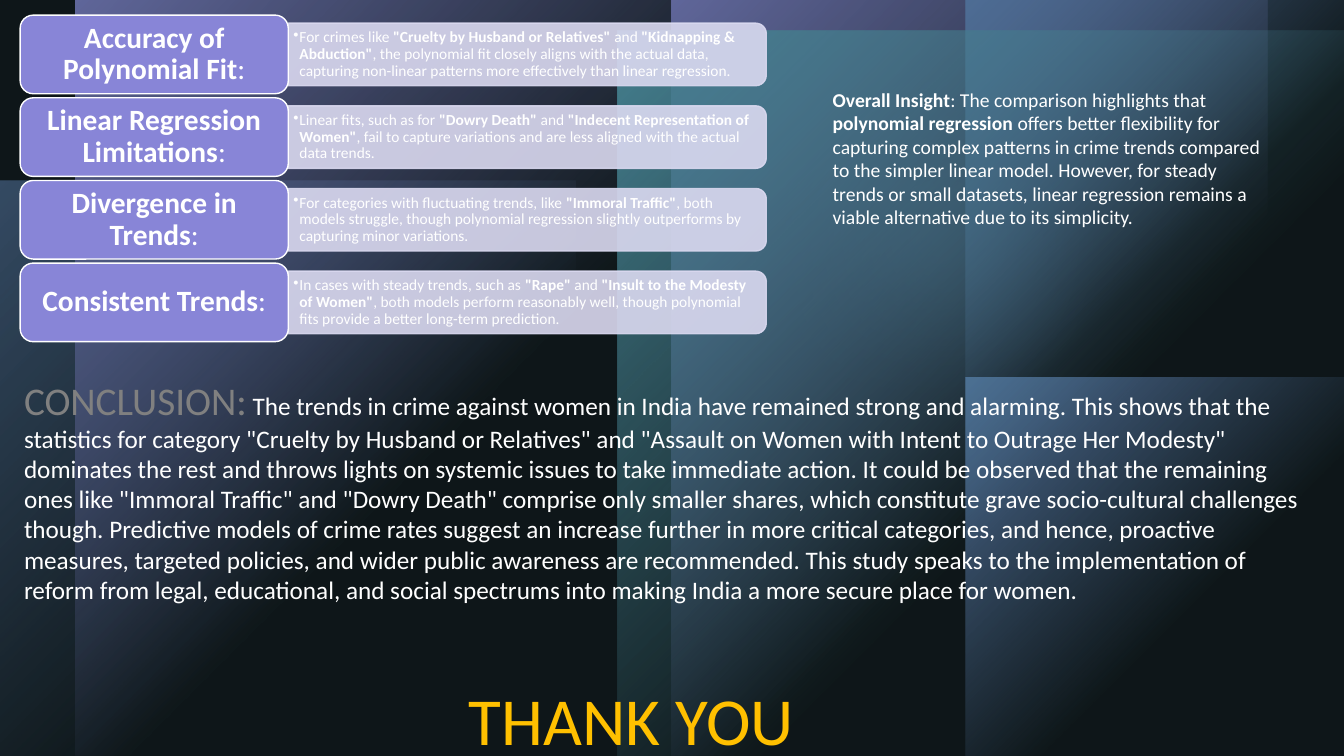
from dataclasses import dataclass
from typing import Optional

import pptx
import pptx.dml.color
import pptx.enum.shapes
import pptx.enum.text
import pptx.oxml
import pptx.oxml.ns
import pptx.util
from lxml import etree

Inches = pptx.util.Inches
Pt = pptx.util.Pt
Shapes = pptx.enum.shapes.MSO_SHAPE
Anchor = pptx.enum.text.MSO_ANCHOR
Align = pptx.enum.text.PP_ALIGN
qn = pptx.oxml.ns.qn


@dataclass(frozen=True)
class Theme:
    font: str = "Calibri"
    black: str = "000000"
    white: str = "FFFFFF"
    purple: str = "8885D7"
    lavender: str = "DAD9F0"
    blue: str = "6A90CE"
    teal: str = "5AAEC3"
    veil: str = "24393F"
    gray: str = "808080"
    gold: str = "FFC000"
    detail_size: float = 11
    insight_size: float = 14
    conclusion_size: float = 18
    heading_size: float = 21
    conclusion_title_size: float = 28
    thanks_size: float = 48


@dataclass(frozen=True)
class Box:
    left: float
    top: float
    width: float
    height: float

    def emu(self) -> tuple:
        return tuple(Inches(v) for v in (self.left, self.top, self.width, self.height))


@dataclass(frozen=True)
class Glow:
    box: Box
    color: str
    opacity: int = 100
    soft_edge: Optional[float] = None


@dataclass(frozen=True)
class Finding:
    heading: str
    detail: str


THEME = Theme()
PAGE = Box(0, 0, 13.33, 7.5)
FIRST_TOP, PITCH = 0.15, 0.82

GLOWS = [
    Glow(Box(0, 1.79, 5.71, 5.71), THEME.blue, 60),
    Glow(Box(6.98, 0, 4.72, 4.72), THEME.teal, 96, 1.39),
    Glow(Box(6.69, 1.35, 6.02, 6.02), THEME.blue, 60, 2.5),
    Glow(Box(6.66, 0, 5.91, 7.5), THEME.purple),
    Glow(Box(0.75, 0, 5.91, 7.5), THEME.purple),
    Glow(Box(9.58, 3.75, 3.75, 3.75), THEME.blue),
    Glow(Box(9.58, 0, 3.75, 3.75), THEME.blue),
    Glow(Box(6.13, 0.3, 7.2, 7.2), THEME.teal),
]

FINDINGS = [
    Finding("**Accuracy of Polynomial Fit**:",
            'For crimes like **"Cruelty by Husband or Relatives"** and **"Kidnapping & Abduction"**, '
            "the polynomial fit closely aligns with the actual data, capturing non-linear patterns "
            "more effectively than linear regression."),
    Finding("**Linear Regression Limitations**:",
            'Linear fits, such as for **"Dowry Death"** and **"Indecent Representation of Women"**, '
            "fail to capture variations and are less aligned with the actual data trends."),
    Finding("**Divergence in Trends**:",
            'For categories with fluctuating trends, like **"Immoral Traffic"**, both models struggle, '
            "though polynomial regression slightly outperforms by capturing minor variations."),
    Finding("**Consistent Trends**:",
            'In cases with steady trends, such as **"Rape"** and **"Insult to the Modesty of Women"**, '
            "both models perform reasonably well, though polynomial fits provide a better "
            "long-term prediction."),
]

INSIGHT = (
    "**Overall Insight**: The comparison highlights that **polynomial regression** offers better "
    "flexibility for capturing complex patterns in crime trends compared to the simpler linear model. "
    "However, for steady trends or small datasets, linear regression remains a viable alternative "
    "due to its simplicity."
)

CONCLUSION = (
    " The trends in crime against women in India have remained strong and alarming. This shows that "
    'the statistics for category "Cruelty by Husband or Relatives" and "Assault on Women with Intent '
    'to Outrage Her Modesty" dominates the rest and throws lights on systemic issues to take immediate '
    'action. It could be observed that the remaining ones like "Immoral Traffic" and "Dowry Death" '
    "comprise only smaller shares, which constitute grave socio-cultural challenges though. Predictive "
    "models of crime rates suggest an increase further in more critical categories, and hence, proactive "
    "measures, targeted policies, and wider public awareness are recommended. This study speaks to the "
    "implementation of reform from legal, educational, and social spectrums into making India a more "
    "secure place for women."
)


def rgb(color: str) -> pptx.dml.color.RGBColor:
    return pptx.dml.color.RGBColor.from_string(color)


def set_opacity(fill_parent, percent: int) -> None:
    for color in fill_parent.iterfind(f"{qn('a:solidFill')}/{qn('a:srgbClr')}"):
        etree.SubElement(color, qn("a:alpha"), val=str(percent * 1000))


def add_panel(slide, kind, box: Box, color: str, opacity: int = 100, outline: Optional[str] = None):
    panel = slide.shapes.add_shape(kind, *box.emu())
    panel.shadow.inherit = False
    panel.fill.solid()
    panel.fill.fore_color.rgb = rgb(color)
    set_opacity(panel._element.spPr, opacity)
    if outline:
        panel.line.color.rgb = rgb(outline)
        panel.line.width = Pt(1)
        set_opacity(panel._element.spPr.find(qn("a:ln")), opacity)
    else:
        panel.line.fill.background()
    return panel


def add_glow(slide, glow: Glow) -> None:
    kind = Shapes.OVAL if glow.soft_edge else Shapes.RECTANGLE
    properties = add_panel(slide, kind, glow.box, glow.color, glow.opacity)._element.spPr
    if glow.soft_edge:
        etree.SubElement(properties.find(qn("a:effectLst")), qn("a:softEdge"),
                         rad=str(Inches(glow.soft_edge)))
        return
    gradient = pptx.oxml.parse_xml(
        f'<a:gradFill {pptx.oxml.ns.nsdecls("a")} rotWithShape="1"><a:gsLst>'
        f'<a:gs pos="0"><a:srgbClr val="{glow.color}"><a:alpha val="{glow.opacity * 1000}"/></a:srgbClr></a:gs>'
        f'<a:gs pos="60000"><a:srgbClr val="{glow.color}"><a:alpha val="0"/></a:srgbClr></a:gs>'
        '</a:gsLst><a:path path="circle"><a:fillToRect r="100000" b="100000"/></a:path></a:gradFill>'
    )
    properties.replace(properties.find(qn("a:solidFill")), gradient)


def write(frame, text: str, size: float, color: str = THEME.white):
    frame.word_wrap = True
    paragraph = frame.paragraphs[0]
    paragraph.font.name = THEME.font
    paragraph.font.size = Pt(size)
    paragraph.font.color.rgb = rgb(color)
    for index, part in enumerate(text.split("**")):
        if part:
            run = paragraph.add_run()
            run.text = part
            run.font.bold = index % 2 == 1
    return paragraph


def set_margins(frame, side: float, end: float) -> None:
    frame.vertical_anchor = Anchor.MIDDLE
    frame.margin_left = frame.margin_right = Inches(side)
    frame.margin_top = frame.margin_bottom = Inches(end)


def add_finding(slide, finding: Finding, top: float) -> None:
    bar = add_panel(slide, Shapes.ROUND_2_SAME_RECTANGLE, Box(4.92, top - 1.98, 0.62, 4.74),
                    THEME.lavender, 90, THEME.lavender)
    bar.rotation = 90

    detail = slide.shapes.add_textbox(*Box(2.86, top + 0.11, 4.71, 0.56).emu()).text_frame
    set_margins(detail, 0.05, 0.02)
    bullet_line = write(detail, finding.detail, THEME.detail_size)
    bullet_line.line_spacing = 0.9
    layout = bullet_line._p.get_or_add_pPr()
    layout.set("marL", str(Inches(0.06)))
    layout.set("indent", str(Inches(-0.06)))
    bullet = etree.Element(qn("a:buChar"), char="•")
    layout.find(qn("a:defRPr")).addprevious(bullet)

    heading = add_panel(slide, Shapes.ROUNDED_RECTANGLE, Box(0.2, top, 2.66, 0.78),
                        THEME.purple, outline=THEME.white).text_frame
    set_margins(heading, 0.13, 0.08)
    heading_line = write(heading, finding.heading, THEME.heading_size)
    heading_line.alignment = Align.CENTER
    heading_line.line_spacing = 0.9


def add_note(slide, box: Box):
    frame = slide.shapes.add_textbox(*box.emu()).text_frame
    frame.auto_size = pptx.enum.text.MSO_AUTO_SIZE.SHAPE_TO_FIT_TEXT
    return frame


def main() -> None:
    deck = pptx.Presentation()
    deck.slide_width, deck.slide_height = Inches(PAGE.width), Inches(PAGE.height)
    slide = deck.slides.add_slide(deck.slide_layouts[6])
    slide.background.fill.solid()
    slide.background.fill.fore_color.rgb = rgb(THEME.black)
    for glow in GLOWS:
        add_glow(slide, glow)
    add_panel(slide, Shapes.RECTANGLE, PAGE, THEME.veil, 40)
    for row, finding in enumerate(FINDINGS):
        add_finding(slide, finding, FIRST_TOP + row * PITCH)
    write(add_note(slide, Box(8.16, 0.82, 4.48, 1.75)), INSIGHT, THEME.insight_size)
    conclusion = write(add_note(slide, Box(0.14, 3.68, 13.06, 2.69)),
                       "CONCLUSION:**" + "**" + CONCLUSION, THEME.conclusion_size)
    title = conclusion.runs[0].font
    title.size = Pt(THEME.conclusion_title_size)
    title.color.rgb = rgb(THEME.gray)
    write(add_note(slide, Box(4.55, 6.68, 4.22, 0.91)), "THANK YOU", THEME.thanks_size, THEME.gold)
    deck.save("out.pptx")


if __name__ == "__main__":
    main()
